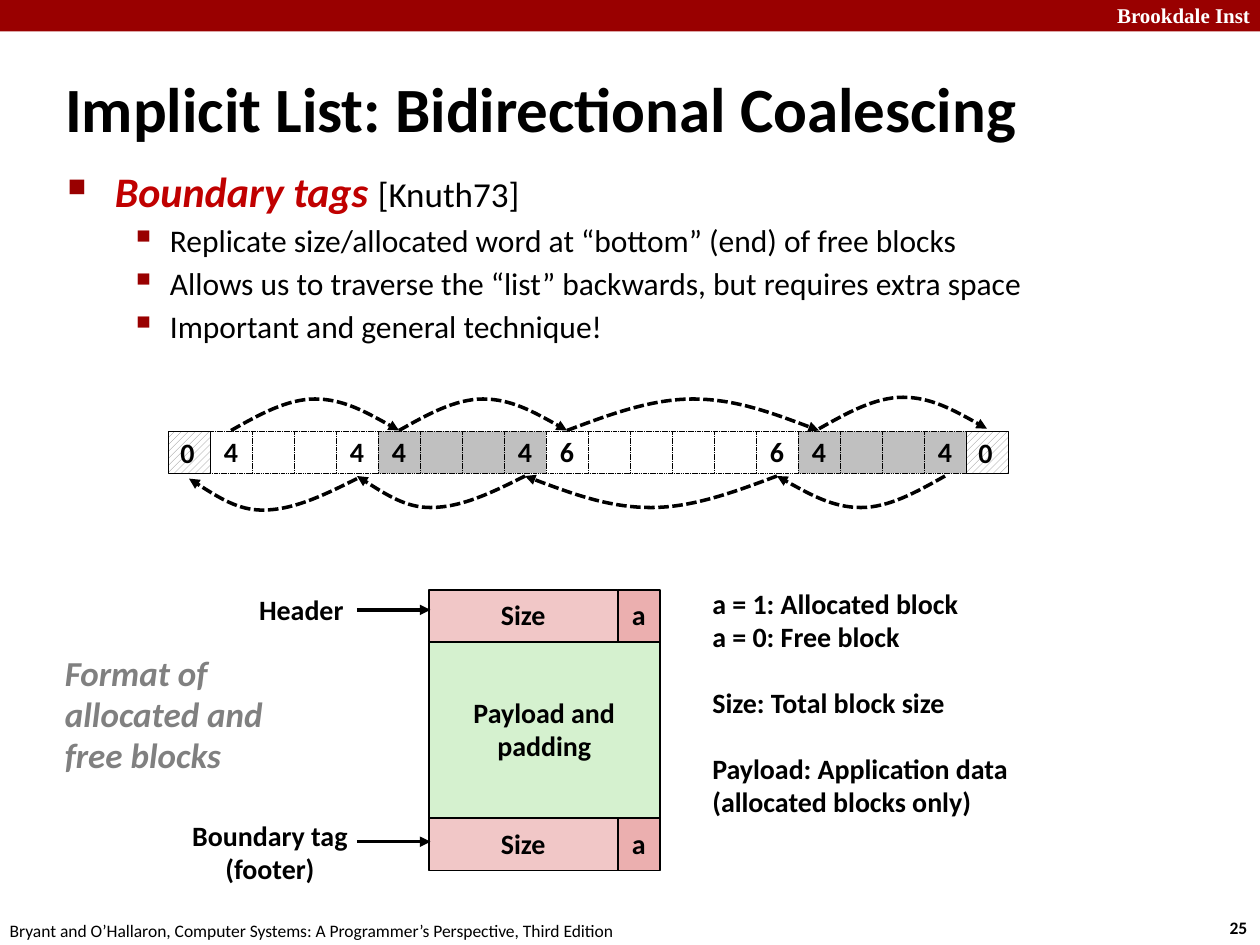
import itertools
import typing

import lxml.etree
import pptx
import pptx.dml.color
import pptx.enum.dml
import pptx.enum.shapes
import pptx.enum.text
import pptx.oxml.ns
import pptx.util

Pt = pptx.util.Pt
qn = pptx.oxml.ns.qn
Align = pptx.enum.text.PP_ALIGN
Anchor = pptx.enum.text.MSO_ANCHOR
AutoSize = pptx.enum.text.MSO_AUTO_SIZE
Dash = pptx.enum.dml.MSO_LINE
RECTANGLE = pptx.enum.shapes.MSO_SHAPE.RECTANGLE

COLORS = {
    "black": "000000", "white": "FFFFFF", "banner": "990000", "accent": "C00000",
    "gray": "808080", "allocated": "C0C0C0", "size": "F1C7C7", "flag": "EBAFAF",
    "payload": "D5F1CF",
}
CELL, LIST_LEFT, LIST_TOP = 24, 96, 246.5
ARC_HEIGHT = 18


class Style(typing.NamedTuple):
    size: float = 16
    color: str = "black"
    bold: bool = True
    italic: bool = False
    font: str = "Calibri"
    align: Align = Align.LEFT
    spacing: float = 0.98


class Label(typing.NamedTuple):
    box: tuple
    lines: list
    style: Style
    wrap: bool = False


class Part(typing.NamedTuple):
    box: tuple
    lines: list
    color: str


class Block(typing.NamedTuple):
    words: int
    allocated: bool


def rgb(name: str) -> pptx.dml.color.RGBColor:
    return pptx.dml.color.RGBColor.from_string(COLORS[name])


def format_run(run, style: Style) -> None:
    run.font.size = Pt(style.size)
    run.font.name = style.font
    run.font.bold = style.bold
    run.font.italic = style.italic
    run.font.color.rgb = rgb(style.color)


def set_text(frame, lines: list, style: Style) -> None:
    frame.text = "\n".join(lines)
    for paragraph in frame.paragraphs:
        paragraph.alignment = style.align
        paragraph.line_spacing = style.spacing
        for run in paragraph.runs:
            format_run(run, style)


def add_label(slide, label: Label):
    frame = slide.shapes.add_textbox(*map(Pt, label.box)).text_frame
    frame.word_wrap = label.wrap
    frame.auto_size = AutoSize.SHAPE_TO_FIT_TEXT
    set_text(frame, label.lines, label.style)
    return frame


def add_box(slide, box: tuple, color: str, line_width: float = 0):
    shape = slide.shapes.add_shape(RECTANGLE, *map(Pt, box))
    shape.shadow.inherit = False
    shape.fill.solid()
    shape.fill.fore_color.rgb = rgb(color)
    if line_width:
        shape.line.color.rgb = rgb("black")
        shape.line.width = Pt(line_width)
    else:
        shape.line.fill.background()
    shape.text_frame.word_wrap = False
    shape.text_frame.vertical_anchor = Anchor.MIDDLE
    return shape


def format_arrow(arrow) -> None:
    arrow.line.color.rgb = rgb("black")
    arrow.line.width = Pt(2)
    lxml.etree.SubElement(arrow.line._get_or_add_ln(), qn("a:tailEnd"), type="triangle")


def add_arc(slide, start: float, end: float, base: float, height: float, lean: float = 0) -> None:
    """Draw a dashed arrow of two curves that meet at the crest."""
    middle, crest = (start + end) / 2 + lean, base + height
    rise, fall = (middle - start) / 3, (end - middle) / 3
    points = [
        (start + rise, base + height / 2), (middle - rise, crest), (middle, crest),
        (middle + fall, crest), (end - fall, base + height / 2), (end, base),
    ]
    builder = slide.shapes.build_freeform(Pt(start), Pt(base))
    builder.add_line_segments([(Pt(x), Pt(y)) for x, y in points], close=False)
    arc = builder.convert_to_shape()
    arc.shadow.inherit = False
    arc.fill.background()
    arc.line.dash_style = Dash.SQUARE_DOT
    format_arrow(arc)
    # Each run of three points becomes one cubic curve
    segments = list(arc._element.iter(qn("a:lnTo")))
    for first in range(0, len(segments), 3):
        curve = lxml.etree.Element(qn("a:cubicBezTo"))
        segments[first].addprevious(curve)
        for segment in segments[first:first + 3]:
            curve.append(segment[0])
            segment.getparent().remove(segment)


def add_bullet(paragraph, left: float, indent: float, char: str, percent: int) -> None:
    properties = paragraph._p.get_or_add_pPr()
    properties.set("marL", str(Pt(left)))
    properties.set("indent", str(Pt(-indent)))
    color = lxml.etree.SubElement(properties, qn("a:buClr"))
    lxml.etree.SubElement(color, qn("a:srgbClr"), val=COLORS["banner"])
    lxml.etree.SubElement(properties, qn("a:buSzPct"), val=str(percent * 1000))
    lxml.etree.SubElement(properties, qn("a:buChar"), char=char)


presentation = pptx.Presentation()
presentation.slide_width, presentation.slide_height = Pt(720), Pt(540)
slide = presentation.slides.add_slide(presentation.slide_layouts[5])

# Banner and title
add_box(slide, (0, 0, 720, 18), "banner")
title = slide.shapes.title
title.left, title.top, title.width, title.height = map(Pt, (30, 39, 690, 45))
title.text_frame.vertical_anchor = Anchor.MIDDLE
title.text_frame.auto_size = AutoSize.NONE
set_text(title.text_frame, ["Implicit List: Bidirectional Coalescing"], Style(size=36, spacing=1))

# Bullets
body = slide.shapes.add_textbox(*map(Pt, (31.5, 96, 654.5, 104.5))).text_frame
body.word_wrap = True
set_text(body, [
    "Boundary tags ",
    "Replicate size/allocated word at “bottom” (end) of free blocks",
    "Allows us to traverse the “list” backwards, but requires extra space",
    "Important and general technique!",
], Style(size=18, bold=False, spacing=0.88))
heading, *details = body.paragraphs
heading.line_spacing, heading.space_before = 0.83, Pt(12.5)
format_run(heading.runs[0], Style(size=24, color="accent", italic=True))
citation = heading.add_run()
citation.text = "[Knuth73]"
format_run(citation, Style(size=20, bold=False))
add_bullet(heading, 27, 27, "■", 60)
for paragraph in details:
    paragraph.space_before = Pt(5.6)
    add_bullet(paragraph, 58.5, 22.5, "▪", 110)

# Implicit list: one-word end markers around the blocks
blocks = [Block(4, False), Block(4, True), Block(6, False), Block(4, True)]
starts = list(itertools.accumulate((block.words for block in blocks), initial=1))
for block, start in zip(blocks, starts):
    for word in range(block.words):
        box = (LIST_LEFT + (start + word) * CELL, LIST_TOP, CELL, CELL)
        cell = add_box(slide, box, "allocated" if block.allocated else "white", 0.25)
        cell.line.dash_style = Dash.SQUARE_DOT
        if word in (0, block.words - 1):
            set_text(cell.text_frame, [str(block.words)], Style(align=Align.CENTER))
for position in (0, starts[-1]):
    marker = add_box(slide, (LIST_LEFT + position * CELL, LIST_TOP, CELL, CELL), "white", 0.25)
    marker.fill.patterned()
    marker.fill.pattern = pptx.enum.dml.MSO_PATTERN.WIDE_UPWARD_DIAGONAL
    marker.fill.fore_color.rgb = rgb("gray")
    marker.fill.back_color.rgb = rgb("white")
    set_text(marker.text_frame, ["0"], Style(spacing=1))

# Forward links join headers, backward links join footers
headers = [LIST_LEFT + (start + 0.5) * CELL for start in starts]
footers = [header - CELL for header in headers]
for start, end in itertools.pairwise(headers):
    add_arc(slide, start, end, 245 if end == headers[-1] else 246, -ARC_HEIGHT)
for index, (end, start) in enumerate(itertools.pairwise(footers)):
    add_arc(slide, start, end, 272 if index else 273.5, ARC_HEIGHT, -6 if index < 2 else 0)

# Block format
parts = [Part((245, 366.5, 132, 101), ["Payload and", "padding"], "payload")]
for top in (337, 467.5):
    parts += [Part((245, top, 108, 30), ["Size"], "size"), Part((353, top, 24, 30), ["a"], "flag")]
for part in parts:
    shape = add_box(slide, part.box, part.color, 1)
    set_text(shape.text_frame, part.lines, Style(align=Align.CENTER))
for y in (348.5, 481):
    arrow = slide.shapes.add_connector(
        pptx.enum.shapes.MSO_CONNECTOR.STRAIGHT, Pt(204), Pt(y), Pt(246), Pt(y))
    format_arrow(arrow)
    lxml.etree.SubElement(arrow._element.spPr, qn("a:effectLst"))

# Labels
small = Style(size=10, bold=False, spacing=1)
labels = [
    Label((590, -2, 131.5, 21.5), ["Brookdale Inst"],
          Style(12, "white", font="Times New Roman", align=Align.RIGHT, spacing=1), True),
    Label((695.5, 520.5, 26.5, 19.5), ["25"], small._replace(bold=True)),
    Label((-1.5, 522, 366, 19.5),
          ["Bryant and O’Hallaron, Computer Systems: A Programmer’s Perspective, Third Edition"], small),
    Label((30, 370, 128, 78.5), ["Format of", "allocated and", "free blocks"],
          Style(20, "gray", italic=True)),
    Label((141, 336, 63.5, 26.5), ["Header"], Style()),
    Label((102, 465, 104.5, 45.5), ["Boundary tag", "(footer)"], Style(align=Align.CENTER)),
]
for label in labels:
    add_label(slide, label)
notes = add_label(slide, Label((400, 332.5, 185, 160), [
    "a = 1: Allocated block", "a = 0: Free block", "Size: Total block size",
    "Payload: Application data", "(allocated blocks only)"], Style()))
for paragraph in notes.paragraphs[2:4]:
    paragraph.space_before = Pt(19)

presentation.save("out.pptx")
